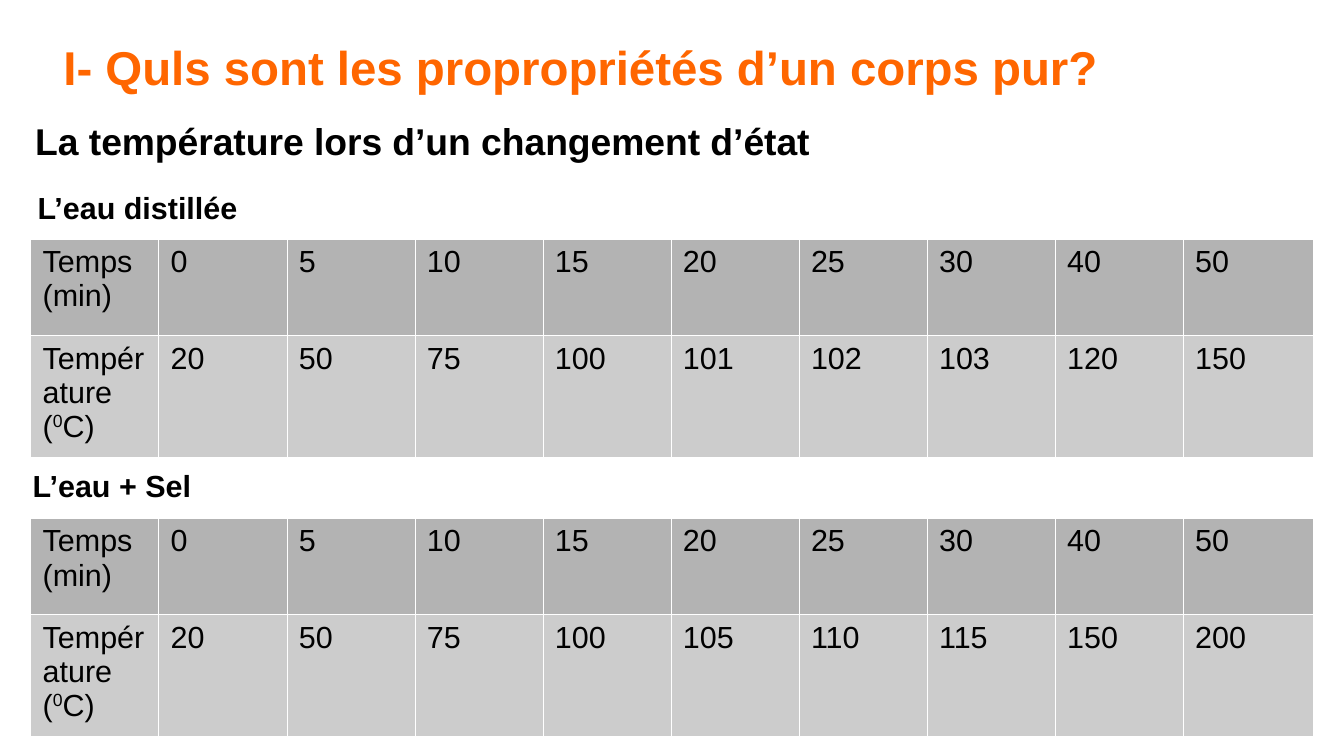
import lxml.etree
import pptx
import pptx.dml.color
import pptx.enum.text
import pptx.oxml.ns
import pptx.util
from dataclasses import dataclass

Inches = pptx.util.Inches


@dataclass(frozen=True)
class Theme:
    font: str = "Arial"
    title_color: str = "FF6600"
    text_color: str = "000000"
    time_fill: str = "B3B3B3"
    temperature_fill: str = "CCCCCC"
    border_color: str = "FFFFFF"
    border_width: float = 0.06
    title_size: int = 28
    heading_size: int = 22
    body_size: int = 18


theme = Theme()


def add_span(para, text, size, color=theme.text_color, bold=False):
    span = para.add_run()
    span.text = text
    span.font.name = theme.font
    span.font.size = pptx.util.Pt(size)
    span.font.bold = bold
    span.font.color.rgb = pptx.dml.color.RGBColor.from_string(color)
    return span


def add_borders(cell):
    properties = cell._tc.get_or_add_tcPr()
    for side in ("a:lnL", "a:lnR", "a:lnT", "a:lnB"):
        line = lxml.etree.SubElement(properties, pptx.oxml.ns.qn(side))
        line.set("w", str(int(pptx.util.Pt(theme.border_width))))
        fill = lxml.etree.SubElement(line, pptx.oxml.ns.qn("a:solidFill"))
        color = lxml.etree.SubElement(fill, pptx.oxml.ns.qn("a:srgbClr"))
        color.set("val", theme.border_color)


deck = pptx.Presentation()
deck.slide_width = Inches(11.02)
deck.slide_height = Inches(6.2)
page = deck.slides.add_slide(deck.slide_layouts[6])

# Title
title = page.shapes.add_textbox(Inches(0.05), Inches(0.11), Inches(9.25), Inches(0.87))
frame = title.text_frame
frame.word_wrap = True
frame.vertical_anchor = pptx.enum.text.MSO_ANCHOR.MIDDLE
frame.margin_left = frame.margin_right = frame.margin_top = frame.margin_bottom = 0
para = frame.paragraphs[0]
para.space_before = pptx.util.Pt(10.6)
para._p.get_or_add_pPr().set("marL", str(Inches(0.47)))
add_span(para, "I- Quls sont les propropriétés d’un corps pur?",
         theme.title_size, theme.title_color, True)

# Headings
headings = [
    ("La température lors d’un changement d’état", 0.19, 0.92, 10.32, 0.58, theme.heading_size, True),
    ("L’eau distillée", 0.21, 1.5, 1.84, 0.38, theme.body_size, False),
    ("L’eau + Sel", 0.17, 3.78, 1.5, 0.38, theme.body_size, False),
]
for text, left, top, width, height, size, wrap in headings:
    box = page.shapes.add_textbox(Inches(left), Inches(top), Inches(width), Inches(height))
    box.text_frame.word_wrap = wrap
    add_span(box.text_frame.paragraphs[0], text, size, bold=True)

# Temperature tables
times = [0, 5, 10, 15, 20, 25, 30, 40, 50]
measurements = [
    (1.96, [20, 50, 75, 100, 101, 102, 103, 120, 150]),
    (4.25, [20, 50, 75, 100, 105, 110, 115, 150, 200]),
]
time_label = [("Temps (min)", False)]
temperature_label = [("Température (", False), ("0", True), ("C)", False)]

for top, temperatures in measurements:
    table = page.shapes.add_table(2, len(times) + 1, Inches(0.25), Inches(top),
                                  Inches(10.5), Inches(1.58)).table
    table.first_row = False
    table.horz_banding = False
    for column in table.columns:
        column.width = Inches(1.05)
    table.columns[len(times)].width = Inches(1.07)

    rows = [
        (time_label, times, theme.time_fill),
        (temperature_label, temperatures, theme.temperature_fill),
    ]
    for row, (label, values, fill) in enumerate(rows):
        table.rows[row].height = Inches(0.79)
        contents = [label] + [[(str(value), False)] for value in values]
        for column, pieces in enumerate(contents):
            cell = table.cell(row, column)
            add_borders(cell)
            cell.fill.solid()
            cell.fill.fore_color.rgb = pptx.dml.color.RGBColor.from_string(fill)
            for text, raised in pieces:
                span = add_span(cell.text_frame.paragraphs[0], text, theme.body_size)
                if raised:
                    span._r.get_or_add_rPr().set("baseline", "33000")

deck.save("out.pptx")
